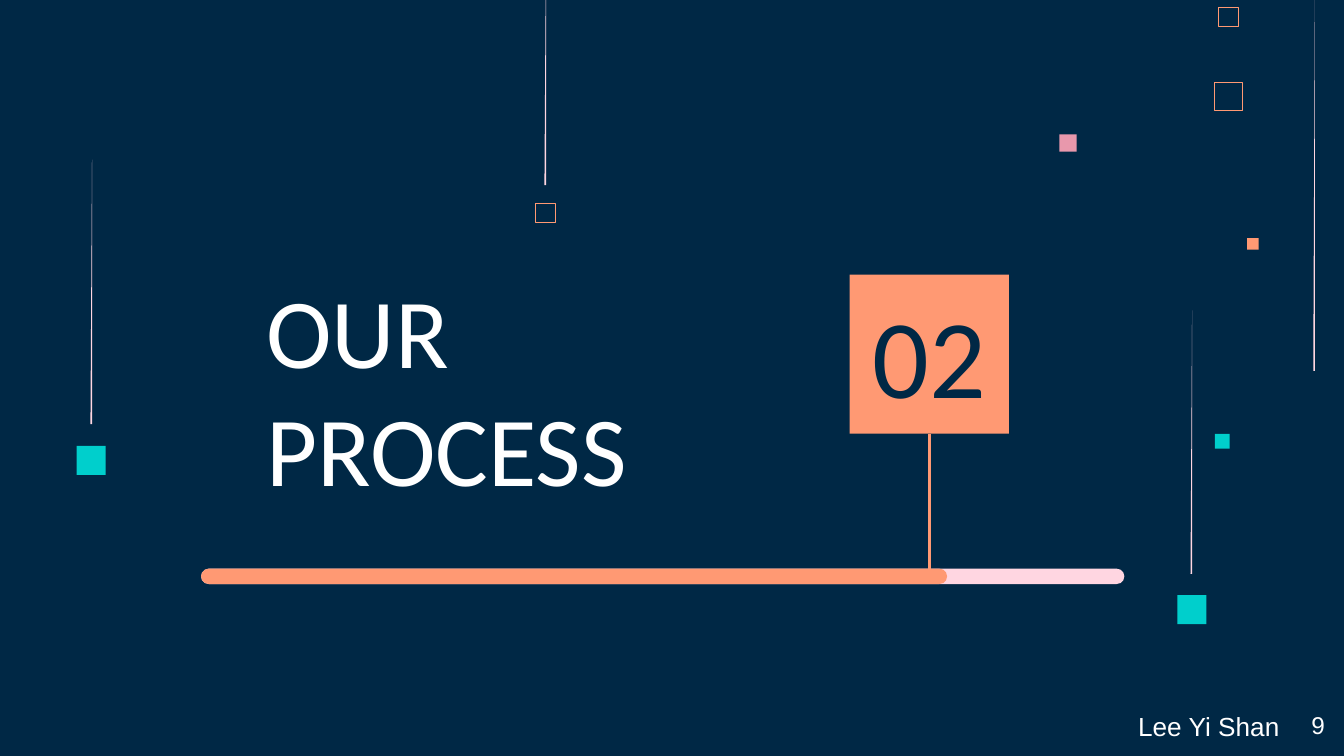
from typing import NamedTuple, Optional

from lxml.etree import SubElement
from pptx import Presentation
from pptx.dml.color import RGBColor
from pptx.enum.shapes import MSO_CONNECTOR, MSO_SHAPE
from pptx.enum.text import MSO_ANCHOR, MSO_AUTO_SIZE, PP_ALIGN
from pptx.oxml.ns import qn
from pptx.util import Cm, Pt

NAVY = RGBColor(0x00, 0x28, 0x45)
ORANGE = RGBColor(0xFF, 0x99, 0x73)
PINK = RGBColor(0xE8, 0x98, 0xAC)
PALE_PINK = RGBColor(0xFF, 0xD6, 0xE1)
TEAL = RGBColor(0x00, 0xCF, 0xCC)
WHITE = RGBColor(0xFF, 0xFF, 0xFF)

STREAK_WIDTH = 0.03
INSET = Cm(0.25)


class Box(NamedTuple):
    """Position and size in centimetres."""
    left: float
    top: float
    width: float
    height: float


class Square(NamedTuple):
    left: float
    top: float
    side: float
    fill: Optional[RGBColor] = None
    outline_points: float = 0


class Streak(NamedTuple):
    left: float
    top: float
    bottom: float


class Label(NamedTuple):
    text: str
    box: Box
    font: str
    size: float
    color: RGBColor = WHITE
    anchor: MSO_ANCHOR = MSO_ANCHOR.TOP
    align: PP_ALIGN = PP_ALIGN.LEFT


SQUARES = [
    Square(20.02, 2.54, 0.33, PINK),
    Square(22.96, 8.2, 0.28, TEAL),
    Square(22.95, 1.55, 0.53, outline_points=0.45),
    Square(23.03, 0.13, 0.37, outline_points=0.32),
    Square(23.57, 4.5, 0.22, ORANGE),
    Square(10.12, 3.84, 0.37, outline_points=0.32),
    Square(22.25, 11.25, 0.55, TEAL),
    Square(1.45, 8.43, 0.55, TEAL),
]
STREAKS = [
    Streak(10.29, -1.22, 3.5),
    Streak(24.82, 0, 7.01),
    Streak(22.5, 5.87, 10.85),
    Streak(1.71, 3.02, 8.02),
]
TITLE = Label("OUR PROCESS", Box(4.78, 7.11, 7.67, 2.72), "Calibri", 53,
              anchor=MSO_ANCHOR.BOTTOM)
NUMBER = Label("02", Box(16.2, 5.89, 2.72, 1.6), "Calibri", 60, NAVY,
               MSO_ANCHOR.MIDDLE, PP_ALIGN.CENTER)
PAGE = Label("9", Box(23.77, 13.18, 1.52, 1.09), "Arial", 13,
             align=PP_ALIGN.RIGHT)
AUTHOR = Label("Lee Yi Shan", Box(21.26, 13.18, 3.25, 1.09), "Arial", 14)


def add_filled(slide, kind: MSO_SHAPE, box: Box, fill: Optional[RGBColor]):
    shape = slide.shapes.add_shape(kind, *map(Cm, box))
    shape.shadow.inherit = False
    shape.line.fill.background()
    if fill is None:
        shape.fill.background()
    else:
        shape.fill.solid()
        shape.fill.fore_color.rgb = fill
    return shape


def add_square(slide, square: Square) -> None:
    box = Box(square.left, square.top, square.side, square.side)
    shape = add_filled(slide, MSO_SHAPE.RECTANGLE, box, square.fill)
    if square.outline_points:
        shape.line.color.rgb = ORANGE
        shape.line.width = Pt(square.outline_points)


def add_streak(slide, streak: Streak) -> None:
    """Draw a hair-thin triangle that fades out towards its top."""
    right = Cm(streak.left + STREAK_WIDTH)
    bottom = Cm(streak.bottom)
    builder = slide.shapes.build_freeform(right, Cm(streak.top))
    builder.add_line_segments([(Cm(streak.left), bottom), (right, bottom)])
    shape = builder.convert_to_shape()
    shape.shadow.inherit = False
    shape.fill.solid()
    shape.fill.fore_color.rgb = PALE_PINK
    shape.line.fill.background()


def add_bar(slide, width: float, fill: RGBColor) -> None:
    bar = add_filled(slide, MSO_SHAPE.ROUNDED_RECTANGLE,
                     Box(3.8, 10.75, width, 0.29), fill)
    bar.adjustments[0] = 0.5


def add_stem(slide) -> None:
    stem = slide.shapes.add_connector(
        MSO_CONNECTOR.STRAIGHT, Cm(17.57), Cm(8.2), Cm(17.57), Cm(10.92))
    stem.line.color.rgb = ORANGE
    stem.line.width = Pt(1.5)
    SubElement(stem.element.spPr, qn("a:effectLst"))


def write_label(shape, label: Label) -> None:
    shape.left, shape.top, shape.width, shape.height = map(Cm, label.box)
    frame = shape.text_frame
    frame.word_wrap = True
    frame.auto_size = MSO_AUTO_SIZE.NONE
    frame.vertical_anchor = label.anchor
    frame.margin_left = frame.margin_right = INSET
    frame.margin_top = frame.margin_bottom = INSET
    paragraph = frame.paragraphs[0]
    paragraph.alignment = label.align
    paragraph.space_before = Pt(0)
    run = paragraph.add_run()
    run.text = label.text
    run.font.name = label.font
    run.font.size = Pt(label.size)
    run.font.color.rgb = label.color


def main() -> None:
    presentation = Presentation()
    presentation.slide_width = Cm(25.4)
    presentation.slide_height = Cm(14.29)
    slide = presentation.slides.add_slide(presentation.slide_layouts[0])
    slide.background.fill.solid()
    slide.background.fill.fore_color.rgb = NAVY

    for square in SQUARES:
        add_square(slide, square)
    for streak in STREAKS:
        add_streak(slide, streak)

    write_label(slide.shapes.title, TITLE)
    write_label(slide.placeholders[1], AUTHOR)

    add_filled(slide, MSO_SHAPE.RECTANGLE, Box(16.06, 5.19, 3.01, 3.01), ORANGE)
    add_bar(slide, 17.45, PALE_PINK)
    add_bar(slide, 14.1, ORANGE)
    add_stem(slide)
    for label in (NUMBER, PAGE):
        write_label(slide.shapes.add_textbox(*map(Cm, label.box)), label)

    presentation.save("out.pptx")


if __name__ == "__main__":
    main()
